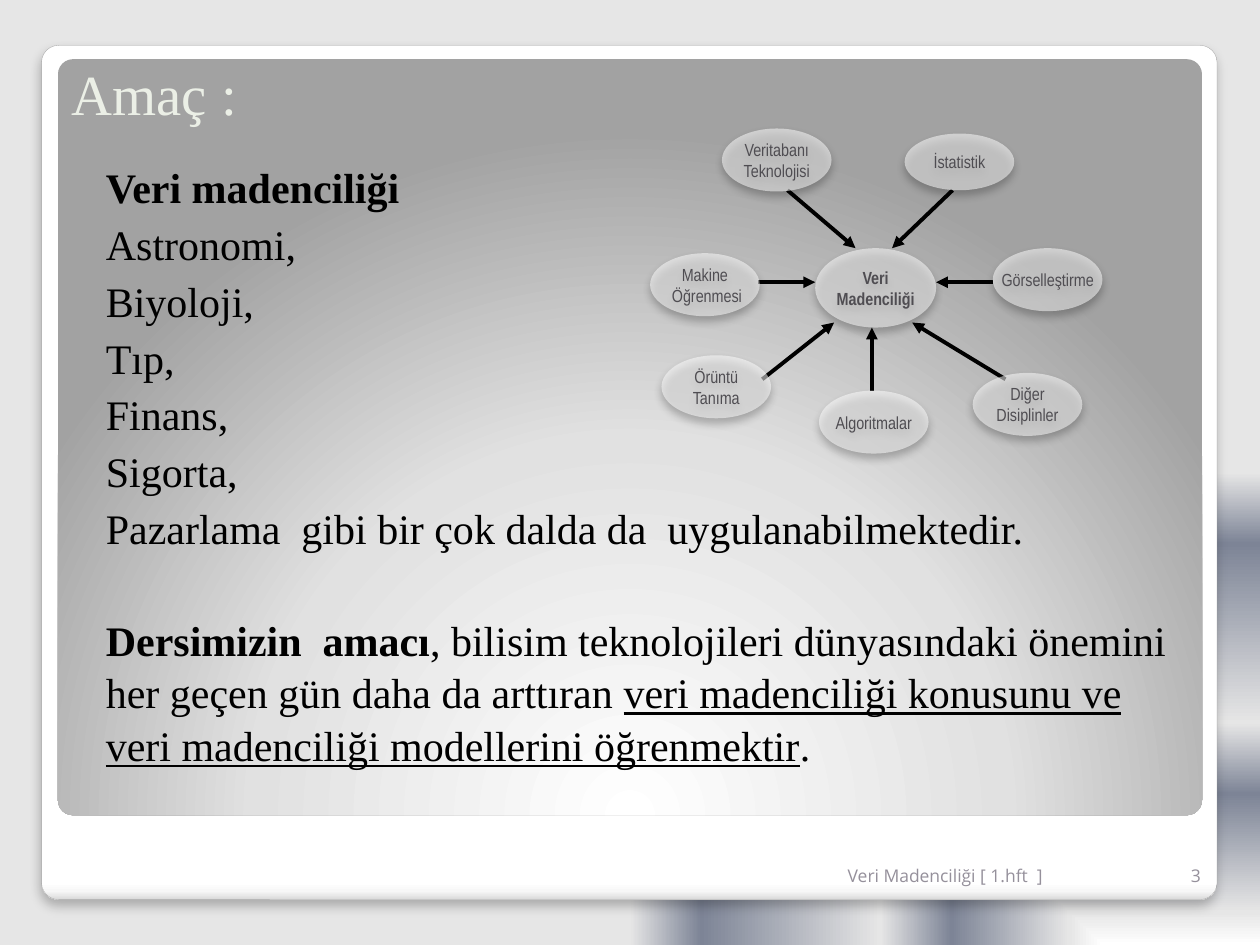
"""Build the slide on the aims of the data mining course."""
from lxml.etree import SubElement
from pptx import Presentation
from pptx.dml.color import RGBColor
from pptx.enum.shapes import MSO_CONNECTOR, MSO_SHAPE
from pptx.enum.text import MSO_ANCHOR, PP_ALIGN
from pptx.oxml.ns import qn
from pptx.util import Inches, Pt

BLACK = RGBColor(0x00, 0x00, 0x00)
WHITE = RGBColor(0xFF, 0xFF, 0xFF)
CREAM = RGBColor(0xEB, 0xEF, 0xE6)
FRAME_GRAY = RGBColor(0xA4, 0xA4, 0xA4)
FOOTER_GRAY = RGBColor(0x95, 0x90, 0x9B)
NODE_GRAY = RGBColor(0x4F, 0x4D, 0x52)
SERIF, SANS, NARROW = "Times New Roman", "Open Sans", "Arial Narrow"

BACKDROP = [(0, "FFFFFF"), (7, "E6E6E6"), (32, "7D8496"), (47, "E6E6E6"),
            (85, "7D8496"), (100, "E6E6E6")]
FRAME = [(0, "FFFFFF"), (98, "FFFFFF"), (99, "F7F7F7"), (100, "DADADA")]
PANEL = [(0, "FFFFFF"), (55, "E1E1E1"), (100, "A2A2A2")]

TITLE = "Amaç :"
FIELDS = [
    [("Veri madenciliği", "b")], "Astronomi,", "Biyoloji,", "Tıp,", "Finans,", "Sigorta,",
    "Pazarlama  gibi bir çok dalda da  uygulanabilmektedir.",
]
AIM = [
    ("Dersimizin  amacı", "b"),
    (", bilisim teknolojileri dünyasındaki önemini her geçen gün daha da arttıran ", ""),
    ("veri madenciliği konusunu ve veri madenciliği modellerini öğrenmektir", "u"),
    (".", ""),
]
FOOTERS = [("3", 9.13, 0.5, PP_ALIGN.RIGHT),
           ("Veri Madenciliği [ 1.hft  ]", 6.63, 2.5, PP_ALIGN.LEFT)]

HUB = ("Veri\nMadenciliği", 6.47, 1.97, 0.96, 0.63)
NODE_WIDTH, NODE_HEIGHT = 0.87, 0.5
DISCIPLINES = [
    ("Veritabanı\nTeknolojisi", 5.73, 1.02, NODE_HEIGHT, (6.25, 1.51), (6.79, 1.97)),
    ("İstatistik", 7.18, 1.06, 0.45, (7.56, 1.51), (7.08, 1.97)),
    ("Makine\n Öğrenmesi", 5.16, 2.01, NODE_HEIGHT, (6.02, 2.24), (6.47, 2.24)),
    ("Örüntü\nTanıma", 5.25, 2.82, NODE_HEIGHT, (6.05, 3.01), (6.62, 2.56)),
    ("Algoritmalar", 6.5, 3.1, NODE_HEIGHT, (6.92, 3.1), (6.92, 2.6)),
    ("Diğer\nDisiplinler", 7.72, 2.96, NODE_HEIGHT, (7.98, 3.01), (7.24, 2.56)),
    ("Görselleştirme", 7.88, 1.97, NODE_HEIGHT, (7.88, 2.24), (7.43, 2.24)),
]


def write_text(shape, paragraphs, font, size, color, bold=False, align=PP_ALIGN.LEFT,
               anchor=MSO_ANCHOR.TOP, wrap=True, before=0, spacing=None, indent=0):
    frame = shape.text_frame
    frame.word_wrap = wrap
    frame.vertical_anchor = anchor
    for index, content in enumerate(paragraphs):
        paragraph = frame.paragraphs[0] if index == 0 else frame.add_paragraph()
        paragraph.alignment = align
        paragraph.space_before = Pt(before)
        if spacing:
            paragraph.line_spacing = spacing
        if indent:
            properties = paragraph._p.get_or_add_pPr()
            properties.set("marL", str(Inches(indent)))
            properties.set("indent", "0")
        for words, style in [(content, "")] if isinstance(content, str) else content:
            for row, line in enumerate(words.split("\n")):
                if row:
                    paragraph.add_line_break()
                run = paragraph.add_run()
                run.text = line
                run.font.name, run.font.size = font, Pt(size)
                run.font.color.rgb = color
                run.font.bold = bold or style == "b"
                run.font.underline = style == "u"
    return frame


def set_gradient(fill, properties, stops, angle=None, focus=None):
    fill.gradient()
    gradient = properties.find(qn("a:gradFill"))
    for child in list(gradient):
        gradient.remove(child)
    stop_list = SubElement(gradient, qn("a:gsLst"))
    for position, color in stops:
        stop = SubElement(stop_list, qn("a:gs"), pos=str(position * 1000))
        SubElement(stop, qn("a:srgbClr"), val=color)
    if focus:
        kind, edges = focus
        path = SubElement(gradient, qn("a:path"), {"path": kind})
        SubElement(path, qn("a:fillToRect"),
                   {side: str(edge * 1000) for side, edge in zip("ltrb", edges)})
    else:
        SubElement(gradient, qn("a:lin"), ang=str(angle * 60000), scaled="0")


def add_shadow(shape, opacity, blur, distance):
    effects = shape._element.spPr.find(qn("a:effectLst"))
    shadow = SubElement(effects, qn("a:outerShdw"), blurRad=str(Pt(blur)),
                        dist=str(Pt(distance)), dir="5400000", rotWithShape="0")
    color = SubElement(shadow, qn("a:srgbClr"), val="000000")
    SubElement(color, qn("a:alpha"), val=str(opacity * 1000))


def add_plain(shapes, kind, *box):
    shape = shapes.add_shape(kind, *map(Inches, box))
    shape.shadow.inherit = False
    shape.line.fill.background()
    return shape


def add_rounded(shapes, *box):
    shape = add_plain(shapes, MSO_SHAPE.ROUNDED_RECTANGLE, *box)
    shape.adjustments[0] = 0.02
    return shape


def add_node(shapes, label, *box, bold=False):
    node = add_plain(shapes, MSO_SHAPE.OVAL, *box)
    node.fill.solid()
    node.fill.fore_color.rgb = WHITE
    color = node._element.spPr.find(qn("a:solidFill"))[0]
    SubElement(color, qn("a:alpha"), val="52000")
    add_shadow(node, 45, 5, 3)
    write_text(node, [label], NARROW, 10, NODE_GRAY, bold=bold, align=PP_ALIGN.CENTER,
               anchor=MSO_ANCHOR.MIDDLE, wrap=False)


def add_arrow(shapes, start, end):
    arrow = shapes.add_connector(MSO_CONNECTOR.STRAIGHT, *map(Inches, start + end))
    arrow.line.color.rgb = BLACK
    arrow.line.width = Pt(2.25)
    SubElement(arrow.line._get_or_add_ln(), qn("a:tailEnd"), type="triangle")
    SubElement(arrow._element.spPr, qn("a:effectLst"))


def main():
    deck = Presentation()
    deck.slide_width, deck.slide_height = Inches(10), Inches(7.5)
    slide = deck.slides.add_slide(deck.slide_layouts[5])
    shapes = slide.shapes

    backdrop = slide.background.fill
    backdrop.gradient()
    set_gradient(backdrop, slide._element.find(".//" + qn("p:bgPr")), BACKDROP,
                 focus=("rect", (100, 100, 0, 0)))

    frame = add_rounded(shapes, 0.33, 0.36, 9.33, 6.78)
    set_gradient(frame.fill, frame._element.spPr, FRAME, angle=90)
    frame.line.color.rgb = FRAME_GRAY
    frame.line.width = Pt(0.16)
    add_shadow(frame, 25, 6, 4)
    panel = add_rounded(shapes, 0.46, 0.47, 9.08, 6)
    set_gradient(panel.fill, panel._element.spPr, PANEL,
                 focus=("circle", (50, 175, 50, -75)))

    title = shapes.title
    title.left, title.top, title.width, title.height = map(Inches, (0.47, 0.47, 8.95, 0.59))
    write_text(title, [TITLE], SERIF, 32.4, CREAM, anchor=MSO_ANCHOR.BOTTOM)
    shapes._spTree.append(title._element)

    body = shapes.add_textbox(*map(Inches, (0.55, 1.17, 8.95, 5.7)))
    text = write_text(body, FIELDS + [AIM], SERIF, 24, BLACK, align=PP_ALIGN.JUSTIFY,
                      before=2.5, spacing=1.04, indent=0.09)
    text.margin_left, text.margin_top = Inches(0.2), Inches(0.1)
    text.paragraphs[-1].alignment = PP_ALIGN.LEFT
    text.paragraphs[-1].space_before = Pt(34)

    for words, left, width, align in FOOTERS:
        footer = shapes.add_textbox(*map(Inches, (left, 6.68, width, 0.4)))
        write_text(footer, [words], SANS, 10, FOOTER_GRAY, align=align,
                   anchor=MSO_ANCHOR.BOTTOM)

    diagram = shapes.add_group_shape().shapes
    add_node(diagram, *HUB, bold=True)
    for *_, start, end in DISCIPLINES:
        add_arrow(diagram, start, end)
    for label, left, top, height, *_ in DISCIPLINES:
        add_node(diagram, label, left, top, NODE_WIDTH, height)

    deck.save("out.pptx")


if __name__ == "__main__":
    main()
